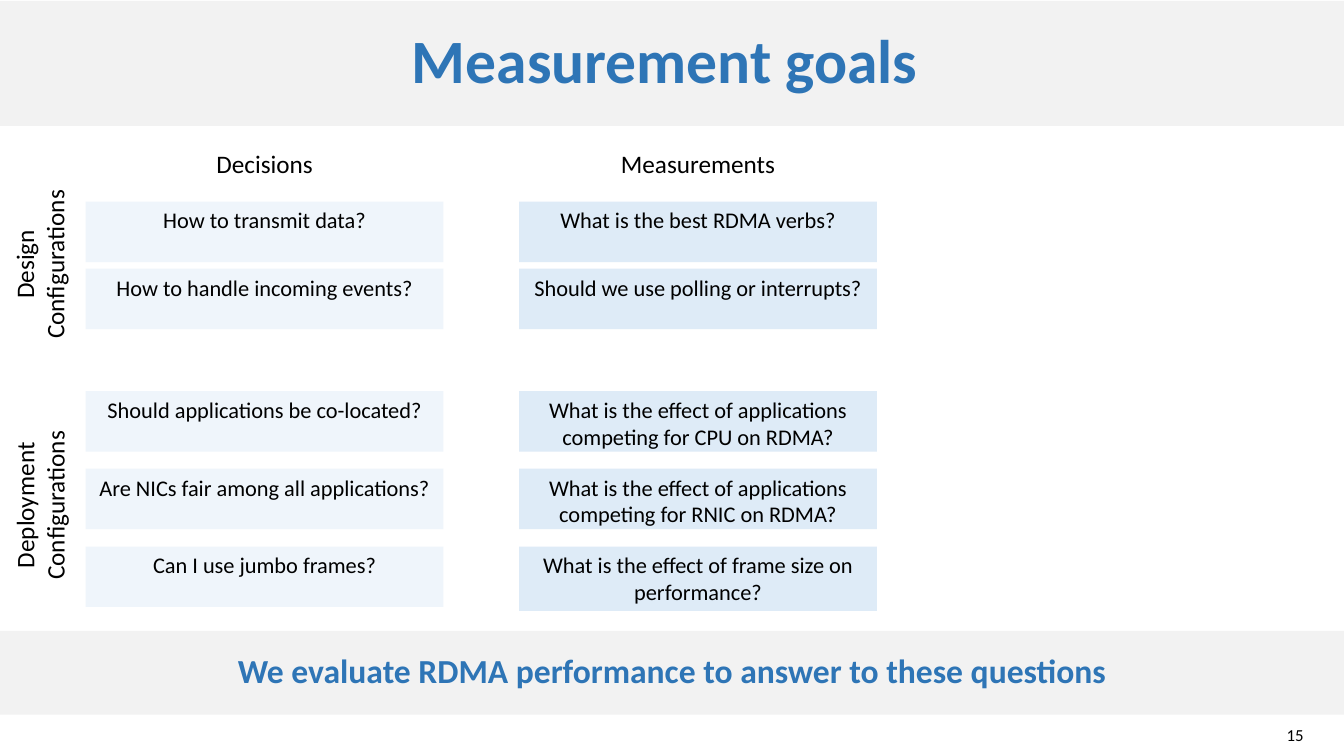
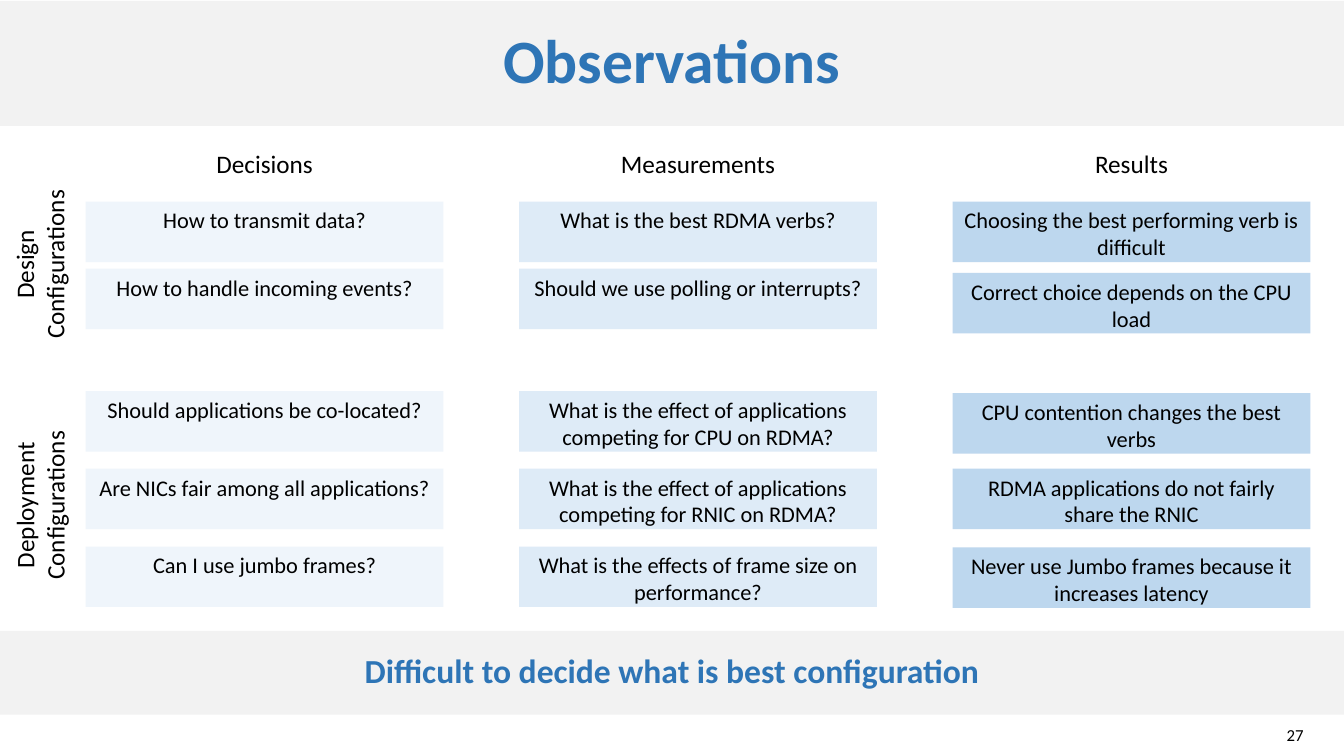
import pptx
import pptx.dml.color
import pptx.enum.shapes
import pptx.enum.text
import pptx.util

Pt = pptx.util.Pt
ALIGN = pptx.enum.text.PP_ALIGN
ANCHOR = pptx.enum.text.MSO_ANCHOR


def color(hex_code):
    return pptx.dml.color.RGBColor.from_string(hex_code)


class Deck:
    """Shared style and the slide being built."""

    FONT = "Calibri"
    INK, ACCENT, BAND = "000000", "2E75B6", "F2F2F2"
    COLUMN_FILLS = ("EFF5FB", "DEEBF7", "BDD7EE")
    WIDTH, HEIGHT = 960, 540
    COLUMN_LEFT, COLUMN_PITCH, COLUMN_WIDTH = 61.2, 309.6, 255.6
    CELL_HEIGHT = 43.2

    def __init__(self):
        self.presentation = pptx.Presentation()
        self.presentation.slide_width = Pt(self.WIDTH)
        self.presentation.slide_height = Pt(self.HEIGHT)
        self.slide = None

    def set_text(self, shape, lines, size, ink=INK, bold=False, align=ALIGN.CENTER,
                 anchor=ANCHOR.TOP, spacing=None, wrap=True):
        frame = shape.text_frame
        frame.word_wrap = wrap
        frame.vertical_anchor = anchor
        frame.text = lines
        for paragraph in frame.paragraphs:
            paragraph.alignment = align
            paragraph.line_spacing = spacing
            paragraph.font.name = self.FONT
            paragraph.font.size = Pt(size)
            paragraph.font.bold = bold
            paragraph.font.color.rgb = color(ink)

    def panel(self, left, top, width, height, fill):
        shape = self.slide.shapes.add_shape(
            pptx.enum.shapes.MSO_SHAPE.RECTANGLE, Pt(left), Pt(top), Pt(width), Pt(height))
        shape.shadow.inherit = False
        shape.fill.solid()
        shape.fill.fore_color.rgb = color(fill)
        shape.line.fill.background()
        return shape

    def label(self, left, top, width, height, lines, size, **style):
        box = self.slide.shapes.add_textbox(Pt(left), Pt(top), Pt(width), Pt(height))
        self.set_text(box, lines, size, **style)
        return box

    def band(self, top, height, line, size):
        self.set_text(self.panel(0, top, self.WIDTH, height, self.BAND), line, size,
                      ink=self.ACCENT, bold=True, anchor=ANCHOR.MIDDLE, spacing=0.9)

    def side_label(self, left, top, width, lines):
        self.label(left, top, width, 51, lines, 18, wrap=False).rotation = 270

    def column(self, index, heading, tops, entries, last_height=CELL_HEIGHT):
        left = self.COLUMN_LEFT + index * self.COLUMN_PITCH
        self.label(left, 102.2, self.COLUMN_WIDTH, 29, heading, 18)
        heights = [self.CELL_HEIGHT] * (len(entries) - 1) + [last_height]
        for top, height, entry in zip(tops, heights, entries):
            cell = self.panel(left, top, self.COLUMN_WIDTH, height, self.COLUMN_FILLS[index])
            self.set_text(cell, entry, 16)

    def add_slide(self, title, conclusion, number):
        self.slide = self.presentation.slides.add_slide(self.presentation.slide_layouts[6])
        self.band(0.7, 89.3, title, 44)
        self.band(450.7, 59.8, conclusion, 24)
        self.label(861, 514, 77.2, 21.6, str(number), 12,
                   align=ALIGN.RIGHT, anchor=ANCHOR.MIDDLE)
        self.side_label(-34.6, 163.4, 126, "Design\nConfigurations")
        self.side_label(-36.7, 335.5, 130.3, "Deployment\nConfigurations")


QUESTION_TOPS = (144, 192, 279.4, 334.8, 390.4)
RESULT_TOPS = (144, 195, 280.8, 334.8, 391)

DECISIONS = (
    "How to transmit data?",
    "How to handle incoming events?",
    "Should applications be co-located?",
    "Are NICs fair among all applications?",
    "Can I use jumbo frames?",
)
MEASUREMENTS = (
    "What is the best RDMA verbs?",
    "Should we use polling or interrupts?",
    "What is the effect of applications competing for CPU on RDMA?",
    "What is the effect of applications competing for RNIC on RDMA?",
)
RESULTS = (
    "Choosing the best performing verb is difficult",
    "Correct choice depends on the CPU load",
    "CPU contention changes the best verbs",
    "RDMA applications do not fairly share the RNIC",
    "Never use Jumbo frames because it increases latency",
)


def main():
    deck = Deck()
    pages = (
        ("Measurement goals ", "We evaluate RDMA performance to answer to these questions", 15,
         "What is the effect of frame size on performance?", 46),
        ("Observations", "Difficult to decide what is best configuration", 27,
         "What is the effects of frame size on performance?", Deck.CELL_HEIGHT),
    )
    for title, conclusion, number, frame_question, frame_height in pages:
        deck.add_slide(title, conclusion, number)
        deck.column(0, "Decisions", QUESTION_TOPS, DECISIONS)
        deck.column(1, "Measurements", QUESTION_TOPS, MEASUREMENTS + (frame_question,),
                    frame_height)
    deck.column(2, "Results", RESULT_TOPS, RESULTS)
    deck.presentation.save("out.pptx")


if __name__ == "__main__":
    main()
